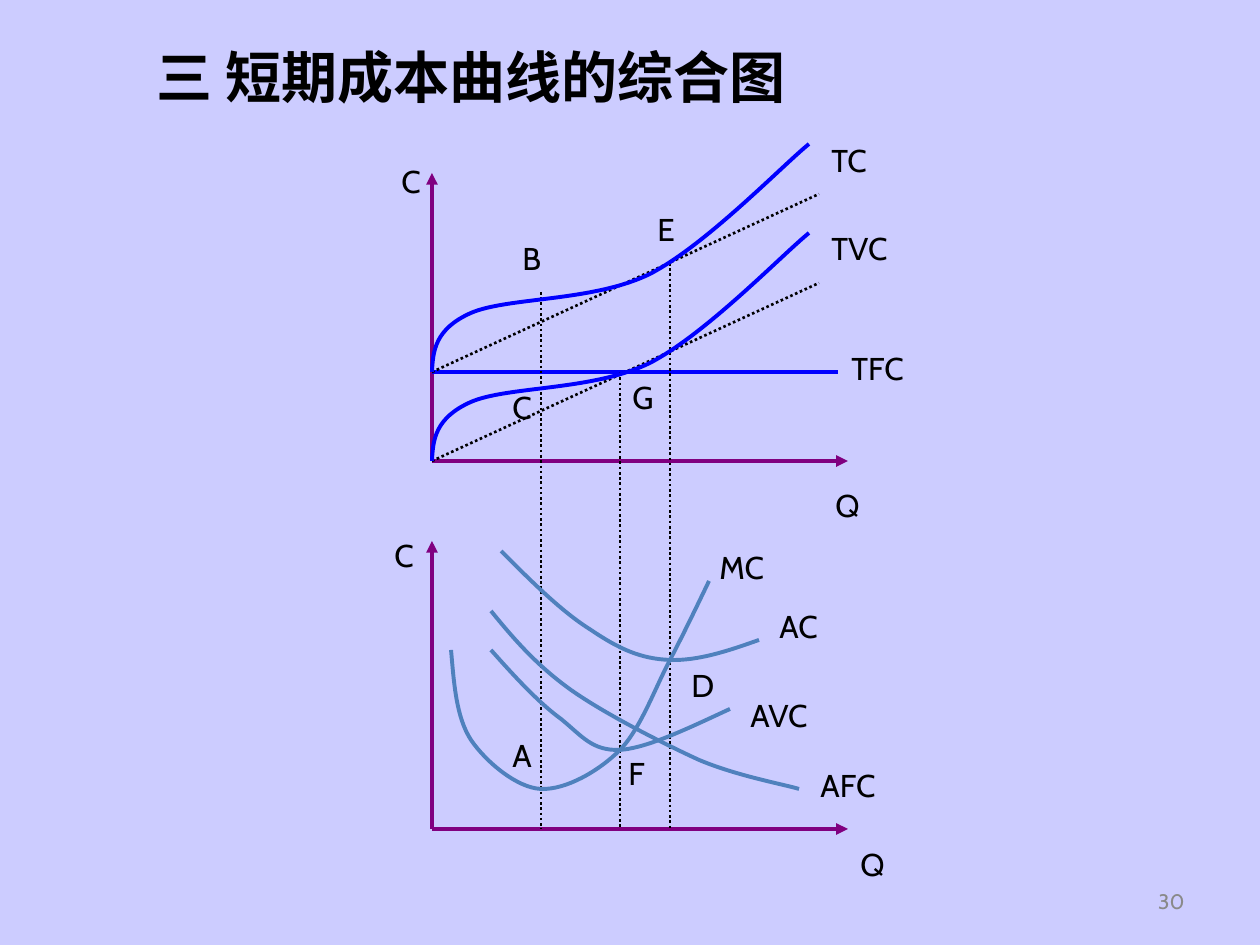
from pptx import Presentation
from pptx.dml.color import RGBColor
from pptx.enum.dml import MSO_LINE
from pptx.enum.shapes import MSO_CONNECTOR
from pptx.enum.text import MSO_ANCHOR, PP_ALIGN
from pptx.util import Pt
from lxml.etree import SubElement
from pptx.oxml.ns import qn

PX = 914400 / 126
PURPLE = RGBColor(0x80, 0x00, 0x80)
BLUE = RGBColor(0x00, 0x00, 0xFF)
STEEL = RGBColor(0x4F, 0x81, 0xBD)
BLACK = RGBColor(0x00, 0x00, 0x00)
GREY = RGBColor(0x89, 0x89, 0x89)
LILAC = RGBColor(0xCC, 0xCC, 0xFF)


def emu(*px):
    return [round(n * PX) for n in px]


def write(text, box, size=18, color=BLACK, font="Cabin", wrap=False):
    """Add a text box and return its frame."""
    frame = shapes.add_textbox(*emu(*box)).text_frame
    frame.word_wrap = wrap
    frame.text = text
    style = frame.paragraphs[0].font
    style.name, style.size = font, Pt(size)
    style.color.rgb = color
    return frame


prs = Presentation()
prs.slide_width, prs.slide_height = emu(1260, 945)
slide = prs.slides.add_slide(prs.slide_layouts[6])
slide.background.fill.solid()
slide.background.fill.fore_color.rgb = LILAC
shapes = slide.shapes

title = write("三 短期成本曲线的综合图", (144, 36, 1071, 139), 32, font="Calibri", wrap=True)
title.paragraphs[0].font.bold = True

# Both charts share the cost axis; TC is TVC raised by the fixed cost
LEFT, TOP, LOW = 432, 461, 829
FIXED = 89
MIN_MC, MIN_AVC, MIN_AC = 541, 620, 670

lines = []
for base in (TOP, LOW):
    lines += [
        (LEFT, base, 848, base, "axis"),
        (LEFT, base, LEFT, base - 288, "axis"),
    ]
lines.append((LEFT, TOP - FIXED, 838, TOP - FIXED, "cost"))
for base in (TOP, TOP - FIXED):
    lines.append((LEFT, base, 819, base - 178, "guide"))
for x, y in ((MIN_AC, 263), (MIN_AVC, TOP - FIXED), (MIN_MC, 292)):
    lines.append((x, y, x, LOW, "guide"))

looks = {"axis": (PURPLE, 2.25), "cost": (BLUE, 2.25), "guide": (BLACK, 1.5)}
for *ends, kind in lines:
    link = shapes.add_connector(MSO_CONNECTOR.STRAIGHT, *emu(*ends))
    color, width = looks[kind]
    link.line.color.rgb = color
    link.line.width = Pt(width)
    props = link._element.spPr
    if kind == "guide":
        link.line.dash_style = MSO_LINE.ROUND_DOT
    if kind == "axis":
        SubElement(props.find(qn("a:ln")), qn("a:tailEnd"), type="triangle")
    SubElement(props, qn("a:effectLst"))

# Bezier points: a start, then two handles and an end for each piece
tvc = [(432, 461), (433, 440), (435, 418), (471, 402), (508, 386), (593, 391),
       (650, 363), (706, 334), (782, 255), (809, 233)]
tc = [(x, y - FIXED) for x, y in tvc]
ac = [(501, 551), (532, 582), (562, 612), (591, 630), (619, 649), (641, 659),
      (670, 660), (698, 661), (728, 651), (759, 640)]
avc = [(491, 650), (515, 677), (539, 703), (561, 719), (582, 736), (592, 751),
       (620, 750), (648, 748), (689, 728), (730, 709)]
mc = [(451, 650), (454, 683), (456, 717), (471, 740), (486, 762), (517, 788),
      (541, 789), (566, 790), (599, 771), (620, 750), (641, 728), (655, 688),
      (670, 660), (684, 633), (697, 606), (709, 581)]
afc = [(491, 611), (513, 638), (536, 665), (571, 690), (605, 714), (662, 743),
       (699, 760), (737, 776), (782, 784), (799, 789)]

for knots, color in ((tvc, BLUE), (tc, BLUE), (ac, STEEL), (avc, STEEL),
                     (mc, STEEL), (afc, STEEL)):
    pen = shapes.build_freeform(*emu(*knots[0]))
    pen.add_line_segments([emu(*knot) for knot in knots[1:]], close=False)
    curve = pen.convert_to_shape()
    curve.shadow.inherit = False
    curve.fill.background()
    curve.line.color.rgb = color
    curve.line.width = Pt(2.25)
    # Merge each three straight pieces into one cubic piece
    track = next(curve._element.iter(qn("a:path")))
    legs = track.findall(qn("a:lnTo"))
    for i in range(0, len(legs), 3):
        cubic = SubElement(track, qn("a:cubicBezTo"))
        for leg in legs[i:i + 3]:
            cubic.append(leg[0])
            track.remove(leg)

labels = [
    ("C", 389, 156, 45), ("Q", 823, 480, 49), ("C", 382, 530, 45),
    ("B", 510, 233, 45), ("E", 645, 204, 43), ("C", 500, 382, 45),
    ("G", 620, 372, 48), ("TC", 819, 135, 62), ("TVC", 819, 223, 81),
    ("TFC", 839, 343, 78), ("AC", 767, 601, 66), ("AVC", 738, 690, 84),
    ("AFC", 808, 760, 82), ("Q", 848, 839, 49), ("A", 500, 730, 45),
    ("F", 616, 748, 42), ("D", 679, 660, 48), ("MC", 707, 542, 73),
]
for text, x, y, width in labels:
    write(text, (x, y, width, 50))

number = write("30", (903, 876, 294, 50), 12, GREY, wrap=True)
number.vertical_anchor = MSO_ANCHOR.MIDDLE
number.paragraphs[0].alignment = PP_ALIGN.RIGHT

prs.save("out.pptx")
